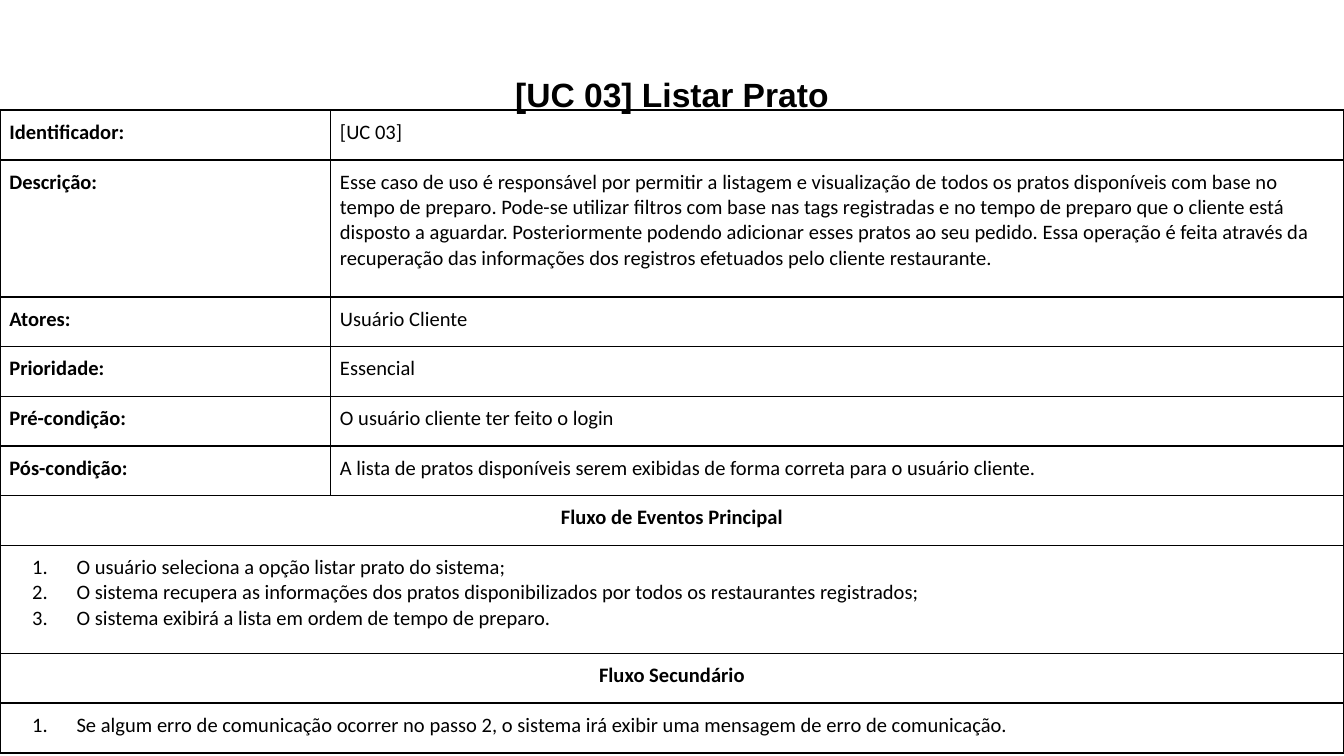
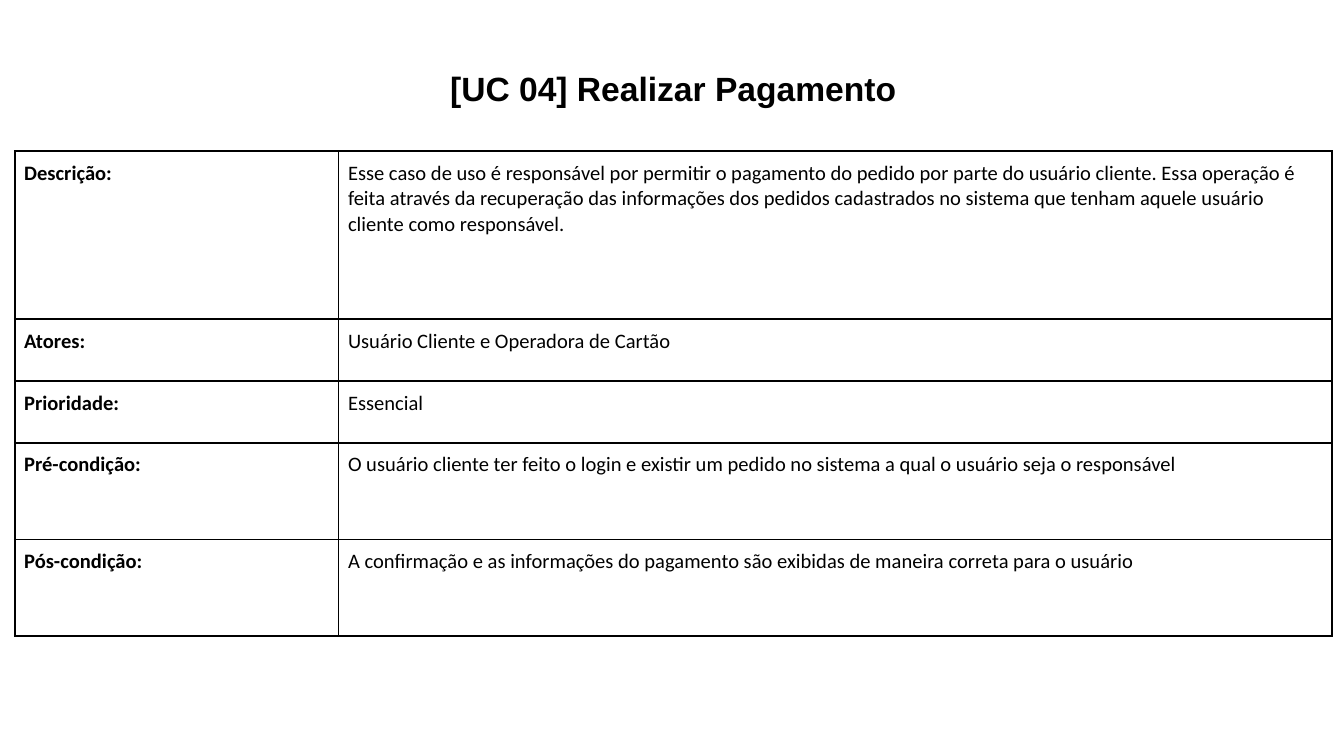
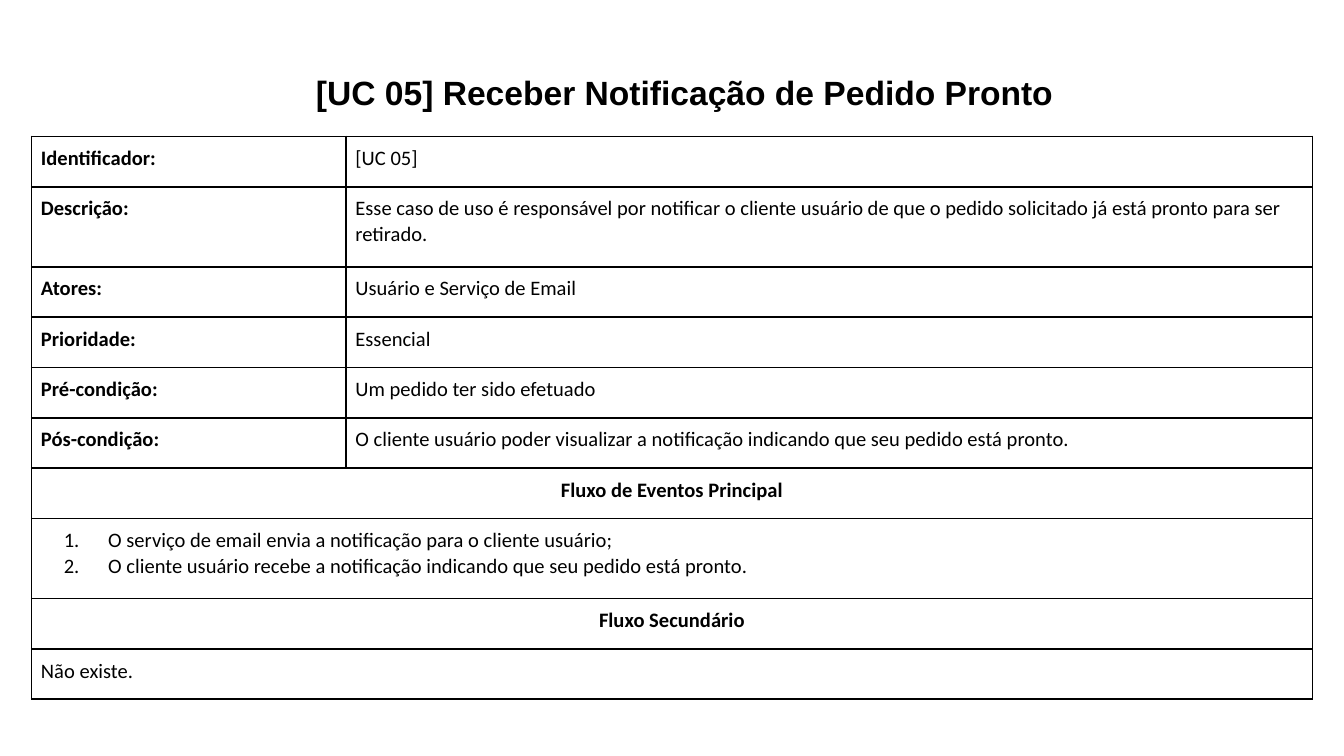
from dataclasses import dataclass

from lxml.etree import SubElement
from pptx import Presentation
from pptx.dml.color import RGBColor
from pptx.enum.text import MSO_ANCHOR, PP_ALIGN
from pptx.oxml.ns import qn
from pptx.slide import Slide
from pptx.table import Table, _Cell
from pptx.text.text import TextFrame
from pptx.util import Emu, Pt

CENTER, LEFT = PP_ALIGN.CENTER, PP_ALIGN.LEFT
MIDDLE = MSO_ANCHOR.MIDDLE
EMU_PER_PX = 4572
PAGE_WIDTH, PAGE_HEIGHT = 2000, 1125


@dataclass(frozen=True)
class Theme:
    """Colours, fonts, type sizes and spacing shared by every page."""
    ink: str = "000000"
    title_font: str = "Arial"
    title_size: int = 18
    title_spacing: float = 1.5
    title_inset: int = 20
    body_font: str = "Calibri"
    body_size: int = 11
    cell_inset: int = 14
    border: int = 1
    step_indent: int = 100
    step_hanging: int = 66


THEME = Theme()


@dataclass(frozen=True)
class Box:
    """A rectangle in px."""
    left: int
    top: int
    width: int
    height: int


@dataclass(frozen=True)
class Field:
    """A row with a bold label and its value."""
    label: str
    value: str
    height: int | None = None


@dataclass(frozen=True)
class Heading:
    """A centred bold row across both columns."""
    text: str
    height: int | None = None


@dataclass(frozen=True)
class Flow:
    """A row of paragraphs across both columns, numbered or plain."""
    lines: tuple[str, ...]
    height: int | None = None
    numbered: bool = True


Row = Field | Heading | Flow


@dataclass(frozen=True)
class UseCase:
    """One page: a title and the table that specifies the use case."""
    title: str
    title_box: Box
    table_left: int
    table_top: int
    columns: tuple[int, int]
    row_height: int
    rows: tuple[Row, ...]
    title_behind: bool = False


MAIN_FLOW = Heading("Fluxo de Eventos Principal")
SECOND_FLOW = Heading("Fluxo Secundário")
PRIORITY = Field("Prioridade:", "Essencial")

USE_CASES = (
    UseCase(
        "[UC 03] Listar Prato", Box(0, 48, 2000, 154), 0, 164, (492, 1508), 74,
        (
            Field("Identificador:", "[UC 03]"),
            Field(
                "Descrição:",
                "Esse caso de uso é responsável por permitir a listagem e visualização de todos os "
                "pratos disponíveis com base no tempo de preparo. Pode-se utilizar filtros com base "
                "nas tags registradas e no tempo de preparo que o cliente está disposto a aguardar. "
                "Posteriormente podendo adicionar esses pratos ao seu pedido. Essa operação é feita "
                "através da recuperação das informações dos registros efetuados pelo cliente "
                "restaurante.",
                204,
            ),
            Field("Atores:", "Usuário Cliente"),
            PRIORITY,
            Field("Pré-condição:", "O usuário cliente ter feito o login"),
            Field(
                "Pós-condição:",
                "A lista de pratos disponíveis serem exibidas de forma correta para o usuário cliente.",
            ),
            MAIN_FLOW,
            Flow(
                (
                    "O usuário seleciona a opção listar prato do sistema;",
                    "O sistema recupera as informações dos pratos disponibilizados por todos os "
                    "restaurantes registrados;",
                    "O sistema exibirá a lista em ordem de tempo de preparo.",
                ),
                161,
            ),
            SECOND_FLOW,
            Flow((
                "Se algum erro de comunicação ocorrer no passo 2, o sistema irá exibir uma mensagem "
                "de erro de comunicação.",
            )),
        ),
    ),
    UseCase(
        "[UC 04] Realizar Pagamento", Box(22, 53, 1960, 126), 22, 225, (482, 1478), 92,
        (
            Field(
                "Descrição:",
                "Esse caso de uso é responsável por permitir o pagamento do pedido por parte do "
                "usuário cliente. Essa operação é feita através da recuperação das informações dos "
                "pedidos cadastrados no sistema que tenham aquele usuário cliente como responsável.",
                250,
            ),
            Field("Atores:", "Usuário Cliente e Operadora de Cartão"),
            PRIORITY,
            Field(
                "Pré-condição:",
                "O usuário cliente ter feito o login e existir um pedido no sistema a qual o usuário "
                "seja o responsável",
                144,
            ),
            Field(
                "Pós-condição:",
                "A confirmação e as informações do pagamento são exibidas de maneira correta para o "
                "usuário",
                144,
            ),
        ),
        title_behind=True,
    ),
    UseCase(
        "[UC 05] Receber Notificação de Pedido Pronto", Box(66, 41, 1906, 162), 47, 203, (468, 1438), 75,
        (
            Field("Identificador:", "[UC 05]"),
            Field(
                "Descrição:",
                "Esse caso de uso é responsável por notificar o cliente usuário de que o pedido "
                "solicitado já está pronto para ser retirado.",
                119,
            ),
            Field("Atores:", "Usuário e Serviço de Email"),
            PRIORITY,
            Field("Pré-condição:", "Um pedido ter sido efetuado"),
            Field(
                "Pós-condição:",
                "O cliente usuário poder visualizar a notificação indicando que seu pedido está pronto.",
            ),
            MAIN_FLOW,
            Flow(
                (
                    "O serviço de email envia a notificação para o cliente usuário;",
                    "O cliente usuário recebe a notificação indicando que seu pedido está pronto.",
                ),
                119,
            ),
            SECOND_FLOW,
            Flow(("Não existe.",), numbered=False),
        ),
    ),
)


def px(length: int) -> Emu:
    """Turn px into EMU."""
    return Emu(length * EMU_PER_PX)


def write_text(
    frame: TextFrame,
    *lines: str,
    font: str = THEME.body_font,
    size: int = THEME.body_size,
    bold: bool = False,
    align: PP_ALIGN = LEFT,
    spacing: float | None = None,
    numbered: bool = False,
) -> None:
    """Write each line as one formatted paragraph of the frame."""
    for index, line in enumerate(lines):
        para = frame.add_paragraph() if index else frame.paragraphs[0]
        para.alignment = align
        para.line_spacing = spacing
        span = para.add_run()
        span.text = line
        span.font.name = font
        span.font.size = Pt(size)
        span.font.bold = bold
        span.font.color.rgb = RGBColor.from_string(THEME.ink)
        if numbered:
            properties = para._p.get_or_add_pPr()
            properties.set("marL", str(px(THEME.step_indent)))
            properties.set("indent", str(px(-THEME.step_hanging)))
            colour = SubElement(properties, qn("a:buClr"))
            SubElement(colour, qn("a:srgbClr"), val=THEME.ink)
            SubElement(properties, qn("a:buAutoNum"), type="arabicPeriod")


def set_insets(holder: TextFrame | _Cell, inset: int) -> None:
    """Give a text frame or cell the same margin on all sides."""
    holder.margin_left = holder.margin_right = px(inset)
    holder.margin_top = holder.margin_bottom = px(inset)


def style_cell(cell: _Cell) -> None:
    """Outline a cell on all sides and leave it unfilled."""
    set_insets(cell, THEME.cell_inset)
    properties = cell._tc.get_or_add_tcPr()
    for side in ("a:lnL", "a:lnR", "a:lnT", "a:lnB"):
        line = SubElement(properties, qn(side), w=str(Pt(THEME.border)))
        fill = SubElement(line, qn("a:solidFill"))
        SubElement(fill, qn("a:srgbClr"), val=THEME.ink)
    cell.fill.background()


def fill_row(table: Table, index: int, row: Row) -> None:
    """Write one row, merging its cells unless it is a field."""
    first, second = table.cell(index, 0), table.cell(index, 1)
    if not isinstance(row, Field):
        first.merge(second)
    match row:
        case Field(label=label, value=value):
            write_text(first.text_frame, label, bold=True)
            write_text(second.text_frame, value)
        case Heading(text=text):
            write_text(first.text_frame, text, bold=True, align=CENTER)
        case Flow(lines=lines, numbered=numbered):
            write_text(first.text_frame, *lines, numbered=numbered)


def draw_title(page: Slide, case: UseCase) -> None:
    """Draw the centred title of a use case."""
    box = case.title_box
    frame = page.shapes.add_textbox(px(box.left), px(box.top), px(box.width), px(box.height)).text_frame
    frame.word_wrap = True
    frame.vertical_anchor = MIDDLE
    set_insets(frame, THEME.title_inset)
    write_text(
        frame, case.title, font=THEME.title_font, size=THEME.title_size,
        bold=True, align=CENTER, spacing=THEME.title_spacing,
    )


def draw_table(page: Slide, case: UseCase) -> None:
    """Draw the specification table of a use case."""
    heights = [row.height or case.row_height for row in case.rows]
    table = page.shapes.add_table(
        len(heights), len(case.columns), px(case.table_left), px(case.table_top),
        px(sum(case.columns)), px(sum(heights)),
    ).table
    table.first_row = table.horz_banding = False
    for column, width in zip(table.columns, case.columns):
        column.width = px(width)
    for cell in table.iter_cells():
        style_cell(cell)
    for index, (row, height) in enumerate(zip(case.rows, heights)):
        table.rows[index].height = px(height)
        fill_row(table, index, row)


def main() -> None:
    """Build the deck and save it."""
    deck = Presentation()
    deck.slide_width, deck.slide_height = px(PAGE_WIDTH), px(PAGE_HEIGHT)
    blank = deck.slide_layouts[6]
    for case in USE_CASES:
        page = deck.slides.add_slide(blank)
        layers = (draw_title, draw_table) if case.title_behind else (draw_table, draw_title)
        for draw in layers:
            draw(page, case)
    deck.save("out.pptx")


if __name__ == "__main__":
    main()
